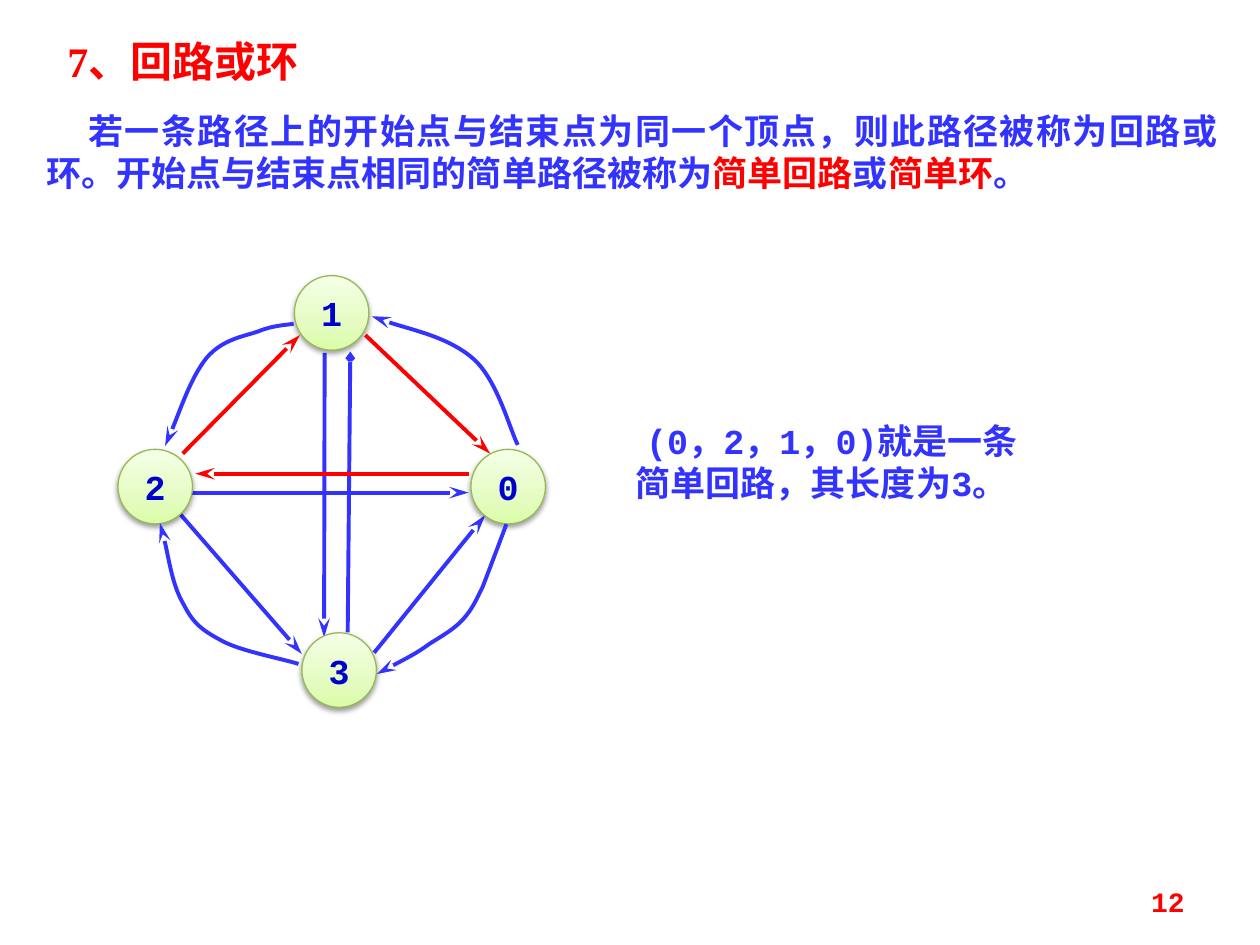
from copy import deepcopy
from typing import NamedTuple

from lxml.etree import SubElement
from pptx import Presentation
from pptx.dml.color import RGBColor
from pptx.enum.shapes import MSO_CONNECTOR, MSO_SHAPE
from pptx.enum.text import MSO_ANCHOR, PP_ALIGN
from pptx.oxml.ns import qn
from pptx.util import Pt

RED = RGBColor(0xFF, 0x00, 0x00)
BLUE = RGBColor(0x33, 0x33, 0xFF)
NODE_TEXT = RGBColor(0x00, 0x00, 0xCC)
NODE_LINE = RGBColor(0x98, 0xB9, 0x55)
NODE_GRADIENT = [
    (0, RGBColor(0xDA, 0xFD, 0xA7)),
    (0.35, RGBColor(0xE4, 0xFC, 0xC2)),
    (1, RGBColor(0xF5, 0xFF, 0xE7)),
]
COURIER = "Courier New"
TIMES = "Times New Roman"
NODE_SIZE = 42.6

Point = tuple[float, float]


class Head(NamedTuple):
    type: str
    w: str
    len: str


STEALTH = Head("stealth", "med", "lg")
SMALL_ARROW = Head("arrow", "sm", "sm")


class Node(NamedTuple):
    label: str
    left: float
    top: float


class Edge(NamedTuple):
    start: Point
    end: Point
    color: RGBColor = BLUE
    head: Head = STEALTH


class Curve(NamedTuple):
    """A start point followed by cubic Bezier triples."""
    start: Point
    points: list[Point]


NODES = [
    Node("1", 168.2, 157.5),
    Node("0", 269.1, 256.8),
    Node("2", 67.4, 256.8),
    Node("3", 172.5, 361.6),
]
BLUE_EDGES = [
    Edge((185.5, 201.6), (185.2, 364.3)),
    Edge((198.7, 361.4), (200.2, 200.9), head=SMALL_ARROW),
    Edge((109.4, 281.5), (267.8, 281.5)),
    Edge((103, 293.8), (172.5, 373.7)),
    Edge((213.8, 373), (277.2, 294.5)),
]
# The simple circuit 0, 2, 1, 0
RED_EDGES = [
    Edge((267.8, 270.7), (111.6, 270.7), RED),
    Edge((104.4, 259.2), (171.4, 191.5), RED),
    Edge((208.8, 191.5), (280.1, 259.2), RED),
]
CURVES = [
    Curve((289.4, 299.5), [
        (287.3, 305.3), (279.4, 326.2), (275.8, 335.5),
        (271.4, 344.2), (270, 347.8), (265, 353.5),
        (259.9, 359.3), (253.4, 362.9), (245.5, 367.9),
        (237.6, 373.7), (221.8, 381.6), (215.3, 385.2)]),
    Curve((167.8, 185), [
        (164.2, 185.8), (156.2, 185.8), (147.6, 189.4),
        (139.7, 192.2), (127.4, 193.7), (118.1, 204.5),
        (109.4, 215.3), (99.4, 244.1), (94.3, 254.9)]),
    Curve((170.6, 379.4), [
        (162, 376.6), (138.2, 372.2), (127.4, 366.5),
        (116.6, 360.7), (110.9, 357.1), (105.1, 345.6),
        (98.6, 334.8), (94.3, 306.7), (91.4, 298.8)]),
    Curve((295.9, 254.2), [
        (291.6, 246.2), (284.4, 217.4), (270.7, 205.2),
        (257, 193), (224.6, 185.8), (212.4, 180.7)]),
]


def write_text(paragraph, text: str, *, size: float, color: RGBColor,
               font: str = COURIER, align=None, indent: float = 0) -> None:
    """Append a bold run to the paragraph."""
    run = paragraph.add_run()
    run.text = text
    run.font.name = font
    run.font.size = Pt(size)
    run.font.bold = True
    run.font.color.rgb = color
    if align is not None:
        paragraph.alignment = align
    if indent:
        paragraph._p.get_or_add_pPr().set("indent", str(Pt(indent)))


def add_text_frame(slide, left: float, top: float, width: float, height: float):
    text_box = slide.shapes.add_textbox(Pt(left), Pt(top), Pt(width), Pt(height))
    text_box.text_frame.word_wrap = True
    return text_box.text_frame


def style_arrow(shape, color: RGBColor, head: Head) -> None:
    shape.line.color.rgb = color
    shape.line.width = Pt(2.25)
    SubElement(shape.line._get_or_add_ln(), qn("a:tailEnd"), head._asdict())
    SubElement(shape._element.spPr, qn("a:effectLst"))


def add_edge(slide, edge: Edge) -> None:
    connector = slide.shapes.add_connector(
        MSO_CONNECTOR.STRAIGHT, *map(Pt, edge.start + edge.end))
    style_arrow(connector, edge.color, edge.head)


def add_curve(slide, curve: Curve) -> None:
    builder = slide.shapes.build_freeform(*map(Pt, curve.start))
    builder.add_line_segments(
        [(Pt(x), Pt(y)) for x, y in curve.points], close=False)
    shape = builder.convert_to_shape()
    # Join every three line segments into one Bezier segment
    segments = shape._element.xpath(".//a:lnTo")
    outline = segments[0].getparent()
    for first in range(0, len(segments), 3):
        bezier = SubElement(outline, qn("a:cubicBezTo"))
        for segment in segments[first:first + 3]:
            bezier.append(segment[0])
            outline.remove(segment)
    shape.fill.background()
    style_arrow(shape, BLUE, STEALTH)


def add_node(slide, node: Node) -> None:
    shape = slide.shapes.add_shape(
        MSO_SHAPE.OVAL, Pt(node.left), Pt(node.top), Pt(NODE_SIZE), Pt(NODE_SIZE))
    # Vertical gradient with three stops
    shape.fill.gradient()
    shape.fill.gradient_angle = 90
    stop_list = shape._element.xpath(".//a:gsLst")[0]
    stop_list.append(deepcopy(stop_list[0]))
    for stop, (position, color) in zip(shape.fill.gradient_stops, NODE_GRADIENT):
        stop.position = position
        stop.color.rgb = color
    shape.line.color.rgb = NODE_LINE
    shape.line.width = Pt(0.75)
    # Soft shadow below the node
    effects = SubElement(shape._element.spPr, qn("a:effectLst"))
    shadow = SubElement(effects, qn("a:outerShdw"), blurRad=str(Pt(3.1)),
                        dist=str(Pt(1.6)), dir="5400000", rotWithShape="0")
    shadow_color = SubElement(shadow, qn("a:srgbClr"), val="000000")
    SubElement(shadow_color, qn("a:alpha"), val="38000")
    # Label
    frame = shape.text_frame
    frame.margin_left = frame.margin_right = Pt(0)
    frame.margin_top = frame.margin_bottom = Pt(0)
    frame.vertical_anchor = MSO_ANCHOR.MIDDLE
    write_text(frame.paragraphs[0], node.label, size=20, color=NODE_TEXT,
               align=PP_ALIGN.CENTER)


def main() -> None:
    presentation = Presentation()
    presentation.slide_width, presentation.slide_height = Pt(720), Pt(540)
    slide = presentation.slides.add_slide(presentation.slide_layouts[6])

    # Heading and definition
    frame = add_text_frame(slide, 19.4, 16.6, 683.3, 103)
    write_text(frame.paragraphs[0], "7、回路或环", size=24, color=RED,
               font=TIMES, align=PP_ALIGN.JUSTIFY, indent=12)
    definition = frame.add_paragraph()
    definition.space_before = Pt(13.4)
    definition._p.get_or_add_pPr().set("hangingPunct", "0")
    for text, color in [
        ("若一条路径上的开始点与结束点为同一个顶点，则此路径被称为回路或环。"
         "开始点与结束点相同的简单路径被称为", BLUE),
        ("简单回路", RED), ("或", BLUE), ("简单环", RED), ("。", BLUE),
    ]:
        write_text(definition, text, size=20, color=color,
                   align=PP_ALIGN.JUSTIFY, indent=24)

    # Directed graph
    for edge in BLUE_EDGES:
        add_edge(slide, edge)
    for node in NODES:
        add_node(slide, node)
    for curve in CURVES:
        add_curve(slide, curve)
    for edge in RED_EDGES:
        add_edge(slide, edge)

    # Example and page number
    frame = add_text_frame(slide, 348.5, 236.2, 241.9, 55.4)
    write_text(frame.paragraphs[0], " (0，2，1，0)就是一条简单回路，其长度为3。",
               size=20, color=BLUE, align=PP_ALIGN.CENTER)
    frame = add_text_frame(slide, 516.2, 500.4, 167.8, 28.8)
    frame.vertical_anchor = MSO_ANCHOR.MIDDLE
    write_text(frame.paragraphs[0], "12", size=16, color=RED, align=PP_ALIGN.RIGHT)

    presentation.save("out.pptx")


if __name__ == "__main__":
    main()
